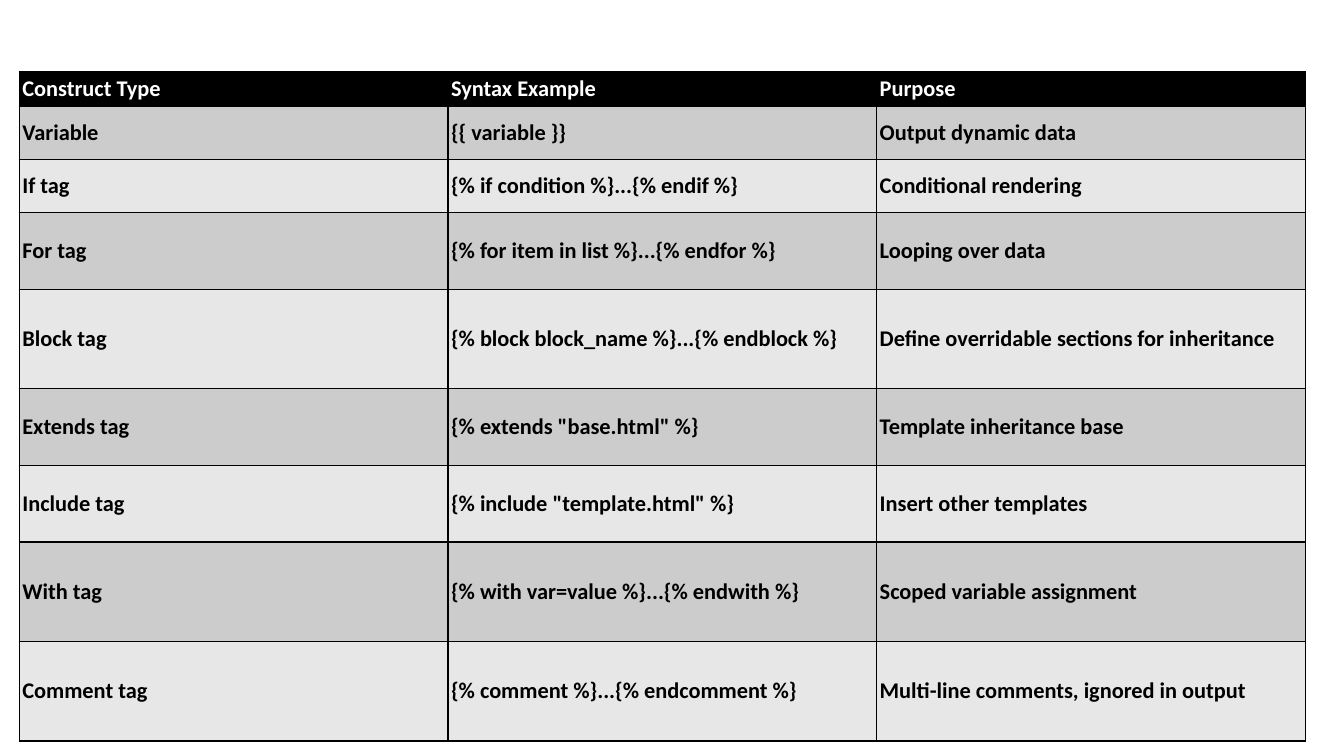
from dataclasses import dataclass

from lxml import etree
from pptx import Presentation
from pptx.dml.color import RGBColor
from pptx.enum.text import MSO_ANCHOR
from pptx.oxml.ns import qn
from pptx.util import Pt

TOP = MSO_ANCHOR.TOP
MIDDLE = MSO_ANCHOR.MIDDLE
BLANK_LAYOUT = 6


@dataclass(frozen=True)
class Theme:
    font: str = "Calibri"
    size: float = 16
    header_text: str = "FFFFFF"
    body_text: str = "000000"
    header_fill: str = "000000"
    bands: tuple = ("CCCCCC", "E7E7E7")
    border: str = "000000"
    border_width: float = 1
    inset: float = 2.2


THEME = Theme()

TABLE_LEFT, TABLE_TOP = 13.8, 51.3
COLUMN_WIDTH = 306.2
HEADER_HEIGHT, SHORT, MEDIUM, TALL = 24.7, 38, 54.7, 71.1

HEADINGS = ("Construct Type", "Syntax Example", "Purpose")
CONSTRUCTS = (
    (SHORT, "Variable", "{{ variable }}", "Output dynamic data"),
    (SHORT, "If tag", "{% if condition %}...{% endif %}", "Conditional rendering"),
    (MEDIUM, "For tag", "{% for item in list %}...{% endfor %}", "Looping over data"),
    (TALL, "Block tag", "{% block block_name %}...{% endblock %}",
     "Define overridable sections for inheritance"),
    (MEDIUM, "Extends tag", '{% extends "base.html" %}', "Template inheritance base"),
    (MEDIUM, "Include tag", '{% include "template.html" %}', "Insert other templates"),
    (TALL, "With tag", "{% with var=value %}...{% endwith %}",
     "Scoped variable assignment"),
    (TALL, "Comment tag", "{% comment %}...{% endcomment %}",
     "Multi-line comments, ignored in output"),
)


def apply_format(target, values):
    for name, value in values.items():
        setattr(target, name, value)


def add_borders(cell):
    properties = cell._tc.get_or_add_tcPr()
    for position, side in enumerate(("a:lnL", "a:lnR", "a:lnT", "a:lnB")):
        line = etree.Element(qn(side), w=str(Pt(THEME.border_width)))
        fill = etree.SubElement(line, qn("a:solidFill"))
        etree.SubElement(fill, qn("a:srgbClr"), val=THEME.border)
        properties.insert(position, line)


def fill_cell(cell, text, text_color, fill_color, anchor):
    inset = Pt(THEME.inset)
    apply_format(cell, {
        "margin_left": inset, "margin_right": inset,
        "margin_top": inset, "margin_bottom": inset,
        "vertical_anchor": anchor,
    })
    cell.fill.solid()
    cell.fill.fore_color.rgb = RGBColor.from_string(fill_color)
    add_borders(cell)
    span = cell.text_frame.paragraphs[0].add_run()
    span.text = text
    apply_format(span.font, {"name": THEME.font, "size": Pt(THEME.size), "bold": True})
    span.font.color.rgb = RGBColor.from_string(text_color)


def fill_row(table, index, height, texts, *style):
    table.rows[index].height = Pt(height)
    for cell, text in zip(table.rows[index].cells, texts):
        fill_cell(cell, text, *style)


def add_construct_table(page):
    total_height = HEADER_HEIGHT + sum(height for height, *texts in CONSTRUCTS)
    table = page.shapes.add_table(
        len(CONSTRUCTS) + 1, len(HEADINGS), Pt(TABLE_LEFT), Pt(TABLE_TOP),
        Pt(COLUMN_WIDTH * len(HEADINGS)), Pt(total_height)).table
    for column in table.columns:
        column.width = Pt(COLUMN_WIDTH)
    fill_row(table, 0, HEADER_HEIGHT, HEADINGS,
             THEME.header_text, THEME.header_fill, TOP)
    for index, (height, *texts) in enumerate(CONSTRUCTS):
        band = THEME.bands[index % len(THEME.bands)]
        fill_row(table, index + 1, height, texts, THEME.body_text, band, MIDDLE)


def main():
    deck = Presentation()
    apply_format(deck, {"slide_width": Pt(960), "slide_height": Pt(540)})
    page = deck.slides.add_slide(deck.slide_layouts[BLANK_LAYOUT])
    add_construct_table(page)
    deck.save("out.pptx")


if __name__ == "__main__":
    main()
